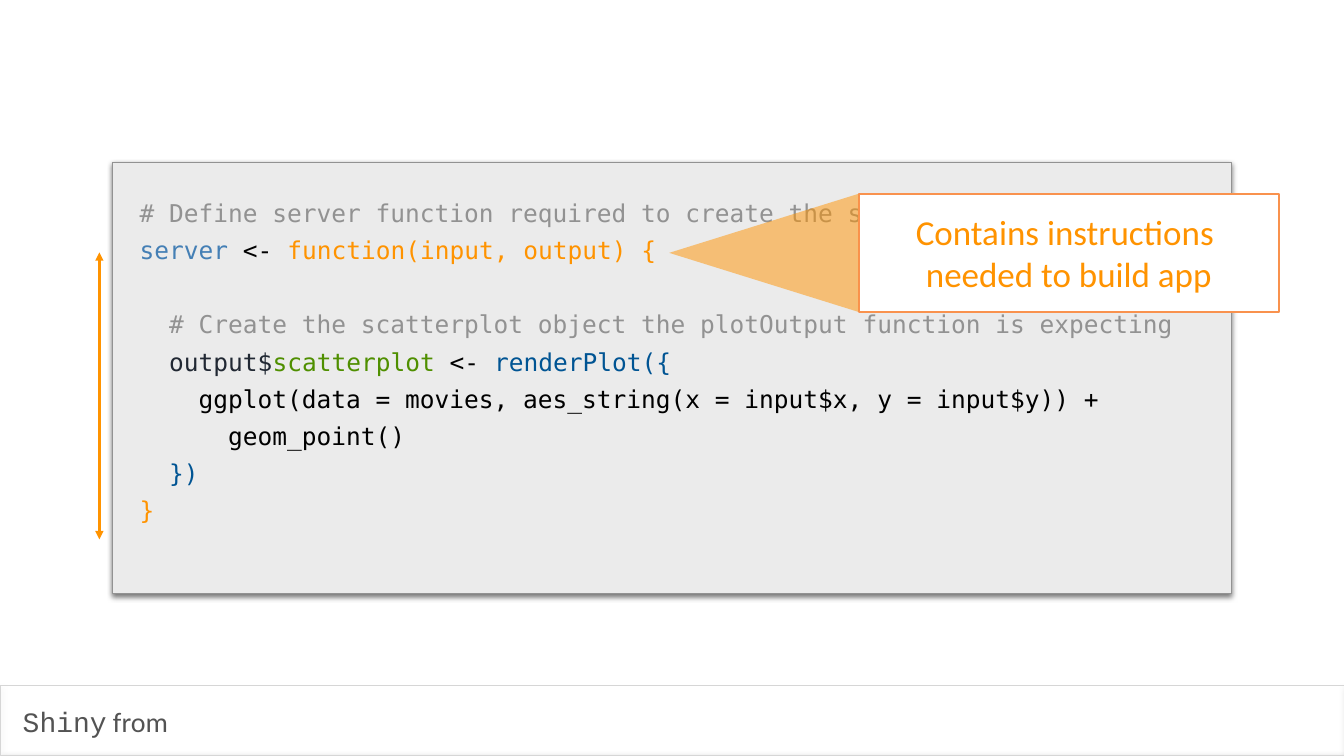
from lxml import etree
from pptx import Presentation
from pptx.dml.color import RGBColor
from pptx.enum import shapes, text
from pptx.oxml import ns
from pptx.util import Pt

COLORS = {
    "panel": "EBEBEB", "panel_line": "929292", "footer_line": "D6D6D6",
    "footer": "535353", "white": "FFFFFF", "callout_line": "F9924E",
    "orange": "FF9300", "comment": "929292", "server": "447FB5",
    "plain": "000000", "output": "212833", "plot": "4F8F00", "render": "005493",
}
CODE = [
    [("# Define server function required to create the scatterplot", "comment")],
    [("server", "server"), (" <- ", "plain"), ("function(input, output) {", "orange")],
    [("  ", "plain")],
    [("  # Create the scatterplot object the plotOutput function is expecting", "comment")],
    [("  ", "plain"), ("output$", "output"), ("scatterplot", "plot"),
     (" <- ", "plain"), ("renderPlot({", "render")],
    [("    ggplot(data = movies, aes_string(x = input$x, y = input$y)) +", "plain")],
    [("      geom_point()", "plain")],
    [("  ", "plain"), ("})", "render")],
    [("}", "orange")],
]


def rgb(name):
    return RGBColor.from_string(COLORS[name])


def add_box(parent, left, top, width, height, line, weight, fill=None, shadow=None):
    """Rectangle; shadow is (opacity %, blur, distance, angle)."""
    s = parent.add_shape(shapes.MSO_SHAPE.RECTANGLE, Pt(left), Pt(top), Pt(width), Pt(height))
    s.shadow.inherit = False
    if fill:
        s.fill.solid()
        s.fill.fore_color.rgb = rgb(fill)
    else:
        s.fill.background()
    s.line.color.rgb = rgb(line)
    s.line.width = Pt(weight)
    if shadow:
        opacity, blur, distance, angle = shadow
        effects = s._element.spPr.find(ns.qn("a:effectLst"))
        outer = etree.SubElement(effects, ns.qn("a:outerShdw"), blurRad=str(Pt(blur)),
                                 dist=str(Pt(distance)), dir=str(angle * 60000), rotWithShape="0")
        color = etree.SubElement(outer, ns.qn("a:srgbClr"), val=COLORS["plain"])
        etree.SubElement(color, ns.qn("a:alpha"), val=str(opacity * 1000))
    return s


prs = Presentation()
prs.slide_width, prs.slide_height = Pt(1920), Pt(1080)
slide = prs.slides.add_slide(prs.slide_layouts[6])

# Footer bar and code panel
add_box(slide.shapes, 0.5, 979, 1920, 100, "footer_line", 1, shadow=(50, 4, 1.6, 90))
add_box(slide.shapes, 160.5, 232, 1599, 615.5, "panel_line", 2, "panel", (55, 8, 4, 91))

# Code, one paragraph per line
tf = slide.shapes.add_textbox(Pt(193.5), Pt(277), Pt(1532), Pt(526)).text_frame
tf.word_wrap = True
tf.margin_left = tf.margin_top = tf.margin_right = tf.margin_bottom = Pt(6)
for i, line in enumerate(CODE):
    p = tf.add_paragraph() if i else tf.paragraphs[0]
    if i:
        p.space_before = Pt(11)
    for content, color in line:
        r = p.add_run()
        r.text = content
        r.font.name = "DejaVu Sans Mono"
        r.font.size = Pt(35)
        r.font.color.rgb = rgb(color)

# Arrow spanning the server function
arrow = slide.shapes.add_connector(shapes.MSO_CONNECTOR.STRAIGHT,
                                   Pt(142), Pt(770.5), Pt(142), Pt(360.5))
arrow.line.color.rgb = rgb("orange")
arrow.line.width = Pt(4)
for end in ("a:headEnd", "a:tailEnd"):
    etree.SubElement(arrow.line._get_or_add_ln(), ns.qn(end), type="triangle")
etree.SubElement(arrow._element.spPr, ns.qn("a:effectLst"))

# Callout: box and translucent pointer
callout = slide.shapes.add_group_shape().shapes
box = add_box(callout, 1227, 277, 600, 168.5, "callout_line", 2, "white")
tf = box.text_frame
tf.word_wrap = True
tf.vertical_anchor = text.MSO_ANCHOR.MIDDLE
tf.text = "Contains instructions \nneeded to build app"
for p in tf.paragraphs:
    p.alignment = text.PP_ALIGN.CENTER
    p.font.name = "Calibri"
    p.font.size = Pt(50)
    p.font.color.rgb = rgb("orange")

builder = callout.build_freeform(Pt(956), Pt(361.25))
builder.add_line_segments([(Pt(1226), Pt(277)), (Pt(1226), Pt(445.5))])
pointer = builder.convert_to_shape()
pointer.shadow.inherit = False
pointer.fill.solid()
pointer.fill.fore_color.rgb = rgb("orange")
pointer.line.fill.background()
fill_color = pointer._element.spPr.find(ns.qn("a:solidFill"))[0]
etree.SubElement(fill_color, ns.qn("a:alpha"), val="50000")

# Footer label
tf = slide.shapes.add_textbox(Pt(19.5), Pt(1003), Pt(227), Pt(56)).text_frame
tf.word_wrap = False
tf.vertical_anchor = text.MSO_ANCHOR.MIDDLE
tf.margin_left = Pt(13)
tf.margin_top = tf.margin_right = tf.margin_bottom = Pt(4)
for content, font in (("Shiny", "Courier New"), (" from", "Calibri")):
    r = tf.paragraphs[0].add_run()
    r.text = content
    r.font.name = font
    r.font.size = Pt(40)
    r.font.color.rgb = rgb("footer")

prs.save("out.pptx")
